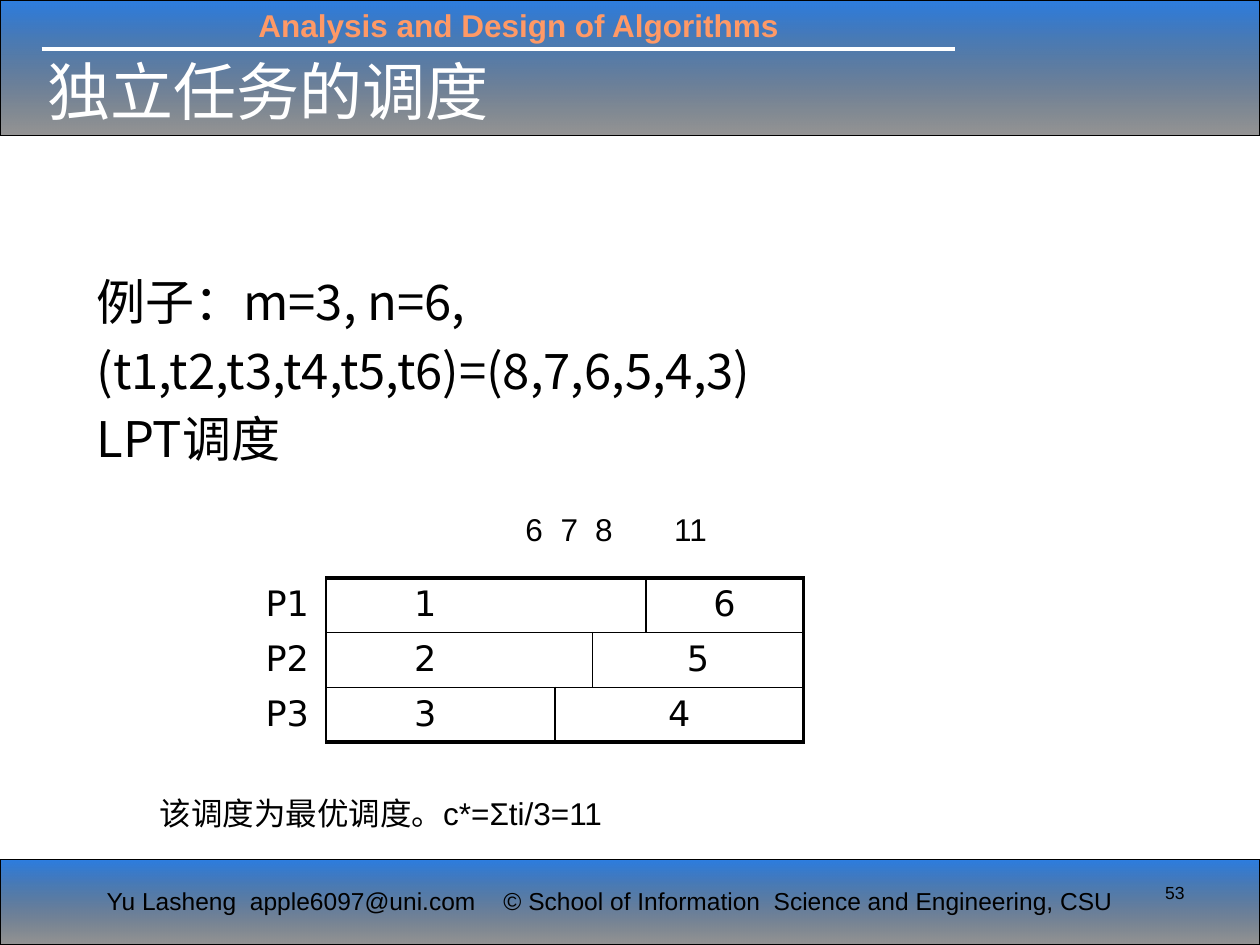
"""Build the slide on scheduling independent tasks with the LPT rule."""
from dataclasses import dataclass

import lxml.etree
import pptx
import pptx.dml.color
import pptx.enum.shapes
import pptx.enum.text
import pptx.oxml.ns
import pptx.util

Cm = pptx.util.Cm
Pt = pptx.util.Pt
Align = pptx.enum.text.PP_ALIGN
Anchor = pptx.enum.text.MSO_ANCHOR
qn = pptx.oxml.ns.qn


@dataclass(frozen=True)
class Theme:
    black: str = "000000"
    white: str = "FFFFFF"
    course: str = "FF9966"
    band_top: str = "0E6BDC"
    band_bottom: str = "000000"
    band_opacity: tuple = (88, 41)
    latin: str = "Arial"
    chinese: str = "Noto Sans CJK SC"
    schedule: str = "DejaVu Sans"
    title_size: float = 36
    body_size: float = 28
    schedule_size: float = 20
    note_size: float = 18
    footer_size: float = 14
    number_size: float = 10
    thin: float = 1
    heavy: float = 2.25
    frame: float = 0.75


@dataclass(frozen=True)
class Box:
    left: float
    top: float
    width: float
    height: float

    def lengths(self) -> tuple:
        return Cm(self.left), Cm(self.top), Cm(self.width), Cm(self.height)


@dataclass(frozen=True)
class Processor:
    name: str
    first_job: str
    second_job: str
    second_column: int


THEME = Theme()
HEADER = Box(0, 0, 25.4, 2.73)
FOOTER = Box(0, 17.33, 25.4, 1.72)
COLUMN_WIDTHS = (1.47, 4.01, 0.58, 0.76, 1.07, 3.18)
ROW_HEIGHT = 1.1
SCHEDULE = Box(5.1, 11.65, sum(COLUMN_WIDTHS), 3 * ROW_HEIGHT)
PROCESSORS = (
    Processor("P1", "1", "6", 5),
    Processor("P2", "2", "5", 4),
    Processor("P3", "3", "4", 3),
)


def rgb(value: str) -> pptx.dml.color.RGBColor:
    return pptx.dml.color.RGBColor.from_string(value)


def write(frame, text: str, *, size: float, font: str = THEME.latin,
          color: str = THEME.black, bold: bool = False, align=Align.LEFT,
          tabs: tuple = (), line: float = 0, before: float = 0) -> None:
    for index, words in enumerate(text.split("\n")):
        paragraph = frame.add_paragraph() if index else frame.paragraphs[0]
        if tabs:
            properties = paragraph._p.get_or_add_pPr()
            stops = lxml.etree.SubElement(properties, qn("a:tabLst"))
            for stop in tabs:
                lxml.etree.SubElement(stops, qn("a:tab"), pos=str(Cm(stop)), algn="l")
        paragraph.alignment = align
        if line:
            paragraph.line_spacing = Pt(line)
        if index:
            paragraph.space_before = Pt(before)
        run = paragraph.add_run()
        run.text = words
        run.font.size = Pt(size)
        run.font.bold = bold
        run.font.color.rgb = rgb(color)
        run.font.name = font
        lxml.etree.SubElement(run._r.get_or_add_rPr(), qn("a:ea"), typeface=THEME.chinese)


def add_text(slide, box: Box, text: str, *, anchor=Anchor.TOP, **style) -> None:
    frame = slide.shapes.add_textbox(*box.lengths()).text_frame
    frame.word_wrap = True
    frame.vertical_anchor = anchor
    write(frame, text, **style)


def add_band(slide, box: Box) -> None:
    band = slide.shapes.add_shape(
        pptx.enum.shapes.MSO_SHAPE.RECTANGLE, *box.lengths())
    band.shadow.inherit = False
    band.fill.gradient()
    band.fill.gradient_angle = 270
    for stop, color in zip(band.fill.gradient_stops, (THEME.band_top, THEME.band_bottom)):
        stop.color.rgb = rgb(color)
    stop_colors = band._element.spPr.find(qn("a:gradFill")).iter(qn("a:srgbClr"))
    for stop_color, opacity in zip(stop_colors, THEME.band_opacity):
        lxml.etree.SubElement(stop_color, qn("a:alpha"), val=str(opacity * 1000))
    band.line.color.rgb = rgb(THEME.black)
    band.line.width = Pt(THEME.frame)


def add_rule(slide, left: float, right: float, y: float) -> None:
    rule = slide.shapes.add_connector(
        pptx.enum.shapes.MSO_CONNECTOR.STRAIGHT, Cm(left), Cm(y), Cm(right), Cm(y))
    rule.line.color.rgb = rgb(THEME.white)
    rule.line.width = Pt(THEME.heavy)
    lxml.etree.SubElement(rule._element.spPr, qn("a:effectLst"))


def set_borders(cell, widths: dict) -> None:
    properties = cell._tc.get_or_add_tcPr()
    for index, side in enumerate("LRTB"):
        width = widths.get(side, 0)
        border = lxml.etree.Element(qn(f"a:ln{side}"), w=str(Pt(width)))
        fill = lxml.etree.SubElement(border, qn("a:solidFill" if width else "a:noFill"))
        if width:
            lxml.etree.SubElement(fill, qn("a:srgbClr"), val=THEME.black)
        properties.insert(index, border)


def add_segment(table, row: int, first: int, last: int, text: str) -> None:
    end_row, end_column = len(PROCESSORS) - 1, len(COLUMN_WIDTHS) - 1
    borders = {}
    if first:
        borders["T"] = THEME.thin if row else THEME.heavy
        borders["B"] = THEME.heavy if row == end_row else THEME.thin
    if first not in (0, 2):
        borders["L"] = THEME.thin
    if last != 1:
        borders["R"] = THEME.heavy if last == end_column else THEME.thin
    for column in range(first, last + 1):
        cell = table.cell(row, column)
        cell.fill.background()
        set_borders(cell, borders)
    start = table.cell(row, first)
    if last > first:
        start.merge(table.cell(row, last))
    write(start.text_frame, text, size=THEME.schedule_size, font=THEME.schedule,
          align=Align.CENTER if first else Align.LEFT)


def add_schedule(slide) -> None:
    table = slide.shapes.add_table(
        len(PROCESSORS), len(COLUMN_WIDTHS), *SCHEDULE.lengths()).table
    table.first_row = table.horz_banding = False
    for column, width in zip(table.columns, COLUMN_WIDTHS):
        column.width = Cm(width)
    for row, processor in enumerate(PROCESSORS):
        table.rows[row].height = Cm(ROW_HEIGHT)
        split = processor.second_column
        add_segment(table, row, 0, 0, processor.name)
        add_segment(table, row, 1, 1, processor.first_job)
        add_segment(table, row, 2, split - 1, "")
        add_segment(table, row, split, len(COLUMN_WIDTHS) - 1, processor.second_job)


def main() -> None:
    deck = pptx.Presentation()
    deck.slide_width, deck.slide_height = Cm(25.4), Cm(19.05)
    slide = deck.slides.add_slide(deck.slide_layouts[6])
    for band in (HEADER, FOOTER):
        add_band(slide, band)
    add_rule(slide, 0.84, 19.25, 0.99)
    add_text(slide, Box(4.96, 0, 12.7, 1.02), "Analysis and Design of Algorithms",
             size=THEME.note_size, color=THEME.course, bold=True)
    add_text(slide, Box(1.9, 17.73, 8.4, 0.86), "Yu Lasheng\tapple6097@uni.com",
             size=THEME.footer_size, tabs=(2.89,))
    add_text(slide, Box(9.9, 17.73, 13, 0.86),
             "© School of Information  Science and Engineering, CSU",
             size=THEME.footer_size)
    add_text(slide, Box(21.89, 17.65, 2.24, 1.27), "53",
             size=THEME.number_size, align=Align.RIGHT)
    add_text(slide, Box(0.71, 0.93, 22.99, 1.78), "独立任务的调度",
             size=THEME.title_size, color=THEME.white, anchor=Anchor.MIDDLE)
    add_text(slide, Box(1.7, 5.27, 22.43, 4.29),
             "例子：m=3, n=6,\n(t1,t2,t3,t4,t5,t6)=(8,7,6,5,4,3)\nLPT调度",
             size=THEME.body_size, font=THEME.chinese, line=36, before=3)
    add_schedule(slide)
    add_text(slide, Box(10.34, 10.16, 6.99, 1.27), "6\t7\t8\t11",
             size=THEME.note_size, tabs=(0.71, 1.41, 3))
    add_text(slide, Box(2.97, 15.88, 16.51, 1.27), "该调度为最优调度。c*=Σti/3=11",
             size=THEME.note_size)
    deck.save("out.pptx")


if __name__ == "__main__":
    main()
